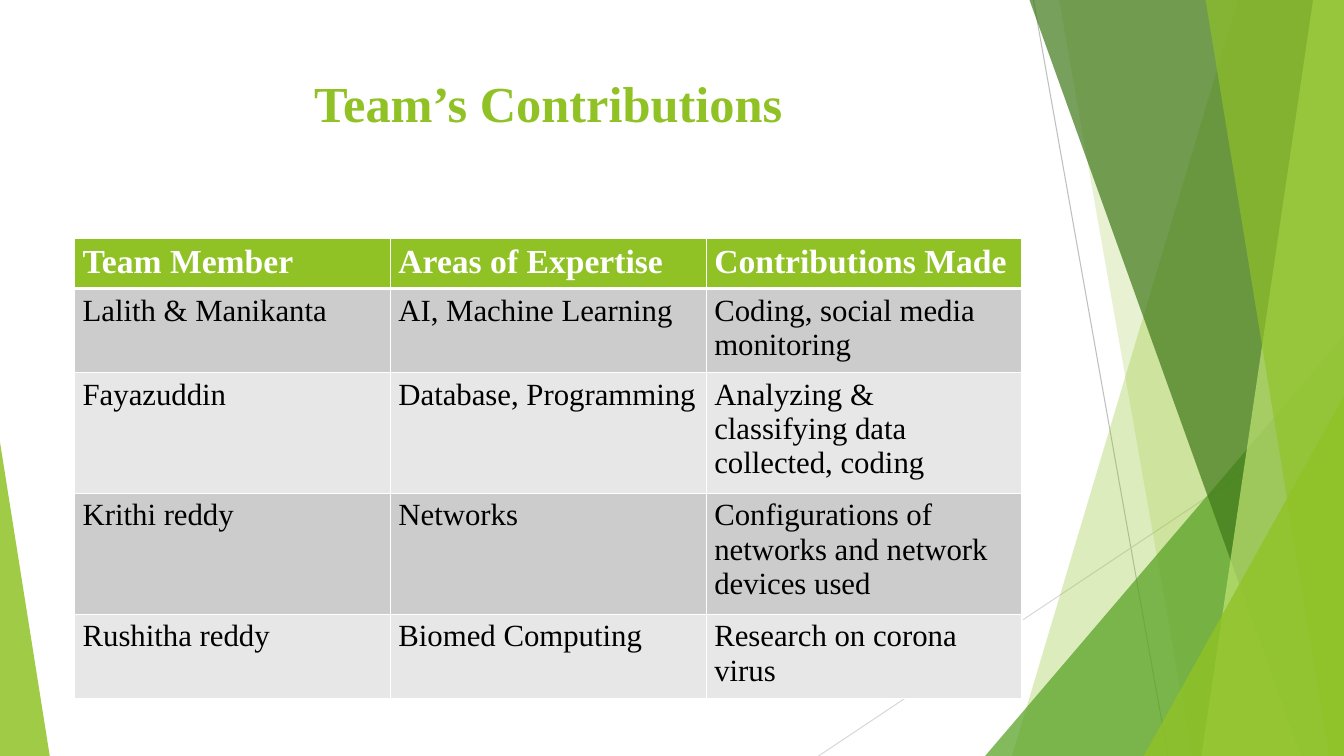
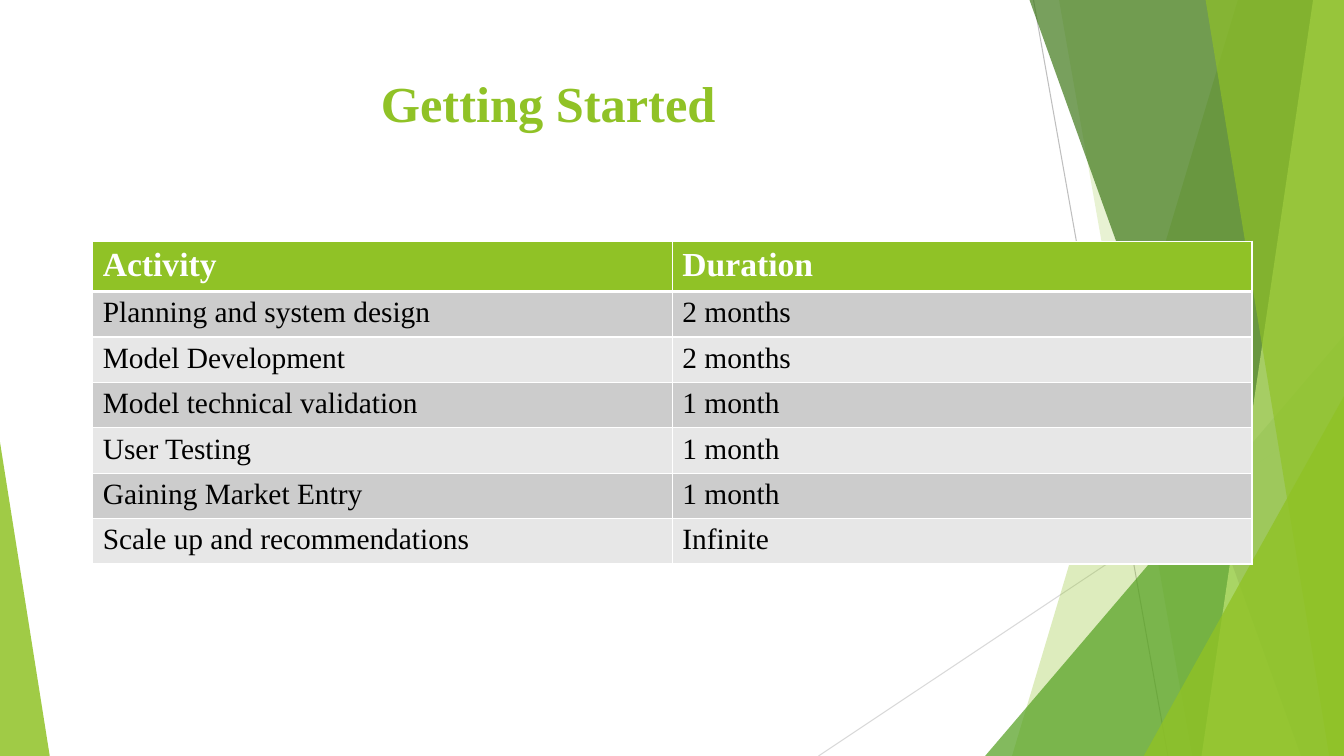
from dataclasses import dataclass

from lxml.etree import SubElement
from pptx import Presentation
from pptx.dml.color import RGBColor as RGB
from pptx.enum.shapes import MSO_CONNECTOR as CONN, MSO_SHAPE as SHAPE
from pptx.enum.text import PP_ALIGN as ALIGN
from pptx.oxml.ns import qn
from pptx.util import Inches, Pt


@dataclass(frozen=True)
class Theme:
    """Colours, font and type sizes shared by the slides."""
    font: str = "Times New Roman"
    title_size: int = 36
    head_size: int = 24
    lime: str = "90C226"
    green: str = "54A021"
    forest: str = "3F7819"
    pale: str = "C0E474"
    white: str = "FFFFFF"
    black: str = "000000"
    bands: tuple = ("CCCCCC", "E7E7E7")
    rules: tuple = ("BFBFBF", "D9D9D9")
    rule_width: float = 0.75
    border: int = 1
    head_border: int = 3


@dataclass(frozen=True)
class Box:
    """A region whose parts are placed in percent of its width and height."""
    x: int
    y: int
    w: int
    h: int

    def at(self, px, py):
        """Return the point at the given percentages."""
        return int(self.x + self.w * px / 100), int(self.y + self.h * py / 100)

    def sub(self, left, top, right, bottom):
        """Return the part between two corners."""
        x, y = self.at(left, top)
        x2, y2 = self.at(right, bottom)
        return Box(x, y, x2 - x, y2 - y)

    @property
    def rect(self):
        """Return left, top, width and height."""
        return self.x, self.y, self.w, self.h


T = Theme()
PAGE = Box(0, 0, Inches(13.33), Inches(7.5))
TITLE = PAGE.sub(5.55, 8.9, 76.05, 28.1)
ROW = 5.47


def paint(sp, color, opacity):
    """Fill a shape with a see-through colour, without line or shadow."""
    sp.shadow.inherit = False
    sp.line.fill.background()
    sp.fill.solid()
    sp.fill.fore_color.rgb = RGB.from_string(color)
    clr = sp.fill._xPr.find(qn("a:solidFill"))[0]
    SubElement(clr, qn("a:alpha"), val=str(opacity * 1000))


def add_rule(slide, box, start, end, color):
    """Draw a thin line between two points of the box."""
    cx = slide.shapes.add_connector(CONN.STRAIGHT, *box.at(*start), *box.at(*end))
    cx.line.color.rgb = RGB.from_string(color)
    cx.line.width = Pt(T.rule_width)
    SubElement(cx._element.spPr, qn("a:effectLst"))


def add_strip(slide, box, top, bottom, color, opacity):
    """Fill from a slanted left edge to the right side of the box."""
    fb = slide.shapes.build_freeform(*box.at(top, 0))
    fb.add_line_segments([box.at(100, 0), box.at(100, 100), box.at(bottom, 100)])
    paint(fb.convert_to_shape(), color, opacity)


def add_wedge(slide, box, peak, color, opacity):
    """Fill the box with a right triangle whose peak is at 0 (left) or 1 (right)."""
    sp = slide.shapes.add_shape(SHAPE.ISOSCELES_TRIANGLE, *box.rect)
    sp.adjustments[0] = peak
    paint(sp, color, opacity)


def add_backdrop(slide, box):
    """Draw the facets and lines behind every slide."""
    add_rule(slide, box, (76.9, 0), (86.9, 100), T.rules[0])
    add_rule(slide, box, (100, 53.7), (60.9, 100), T.rules[1])
    add_strip(slide, box, 92.1, 75.3, T.lime, 30)
    add_strip(slide, box, 78.8, 88.7, T.lime, 20)
    add_wedge(slide, box.sub(73.3, 44.4, 100, 100), 1, T.green, 72)
    add_strip(slide, box, 76.6, 96.8, T.forest, 70)
    add_strip(slide, box, 97.7, 89.4, T.pale, 70)
    add_strip(slide, box, 89.7, 98.9, T.lime, 65)
    add_wedge(slide, box.sub(85.1, 52.4, 100, 100), 1, T.lime, 80)
    add_wedge(slide, box.sub(0, 58.5, 3.7, 100), 0, T.lime, 85)


def write(tf, text, size, color, bold):
    """Put one formatted paragraph in a text frame and return it."""
    tf.word_wrap = True
    p = tf.paragraphs[0]
    p.text = text
    font = p.runs[0].font
    font.name, font.size, font.bold = T.font, Pt(size), bold
    font.color.rgb = RGB.from_string(color)
    return p


def add_title(slide, box, text):
    """Write the centred slide title."""
    tf = slide.shapes.add_textbox(*box.rect).text_frame
    write(tf, text, T.title_size, T.lime, True).alignment = ALIGN.CENTER


def set_borders(cell, top, bottom):
    """Give a cell white borders with the given top and bottom widths."""
    tc_pr = cell._tc.get_or_add_tcPr()
    widths = {"lnL": T.border, "lnR": T.border, "lnT": top, "lnB": bottom}
    for tag, width in widths.items():
        ln = SubElement(tc_pr, qn("a:" + tag), w=str(Pt(width)))
        SubElement(SubElement(ln, qn("a:solidFill")), qn("a:srgbClr"), val=T.white)


def add_grid(slide, box, rows, size, inset):
    """Build a banded table with equal columns and a green head row."""
    table = slide.shapes.add_table(len(rows), len(rows[0]), *box.rect).table
    for r, row in enumerate(rows):
        head = r == 0
        for c, text in enumerate(row):
            cell = table.cell(r, c)
            set_borders(cell, T.head_border if r == 1 else T.border,
                        T.head_border if head else T.border)
            cell.fill.solid()
            fill = T.lime if head else T.bands[(r - 1) % 2]
            cell.fill.fore_color.rgb = RGB.from_string(fill)
            cell.margin_left = cell.margin_right = Inches(inset)
            write(cell.text_frame, text, T.head_size if head else size,
                  T.white if head else T.black, head)


def add_table_slide(prs, title, rows, left, top, right, size, inset):
    """Add a slide with the backdrop, a title and one table."""
    slide = prs.slides.add_slide(prs.slide_layouts[6])
    add_backdrop(slide, PAGE)
    add_title(slide, TITLE, title)
    box = PAGE.sub(left, top, right, top + ROW * len(rows))
    add_grid(slide, box, rows, size, inset)


TEAM = [
    ("Team Member", "Areas of Expertise", "Contributions Made"),
    ("Lalith & Manikanta", "AI, Machine Learning", "Coding, social media monitoring"),
    ("Fayazuddin", "Database, Programming",
     "Analyzing & classifying data collected, coding"),
    ("Krithi reddy", "Networks",
     "Configurations of networks and network devices used"),
    ("Rushitha reddy", "Biomed Computing", "Research on corona virus"),
]
SCHEDULE = [
    ("Activity", "Duration"),
    ("Planning and system design", "2 months"),
    ("Model Development", "2 months"),
    ("Model technical validation", "1 month"),
    ("User Testing", "1 month"),
    ("Gaining Market Entry", "1 month"),
    ("Scale up and recommendations", "Infinite"),
]


def main():
    """Build and save the presentation."""
    prs = Presentation()
    prs.slide_width, prs.slide_height = PAGE.w, PAGE.h
    add_table_slide(prs, "Team’s Contributions", TEAM, 5.55, 31.5, 76.05, 22, 0.08)
    add_table_slide(prs, "Getting Started", SCHEDULE, 6.9, 31.9, 93.15, 21, 0.1)
    prs.save("out.pptx")


if __name__ == "__main__":
    main()
